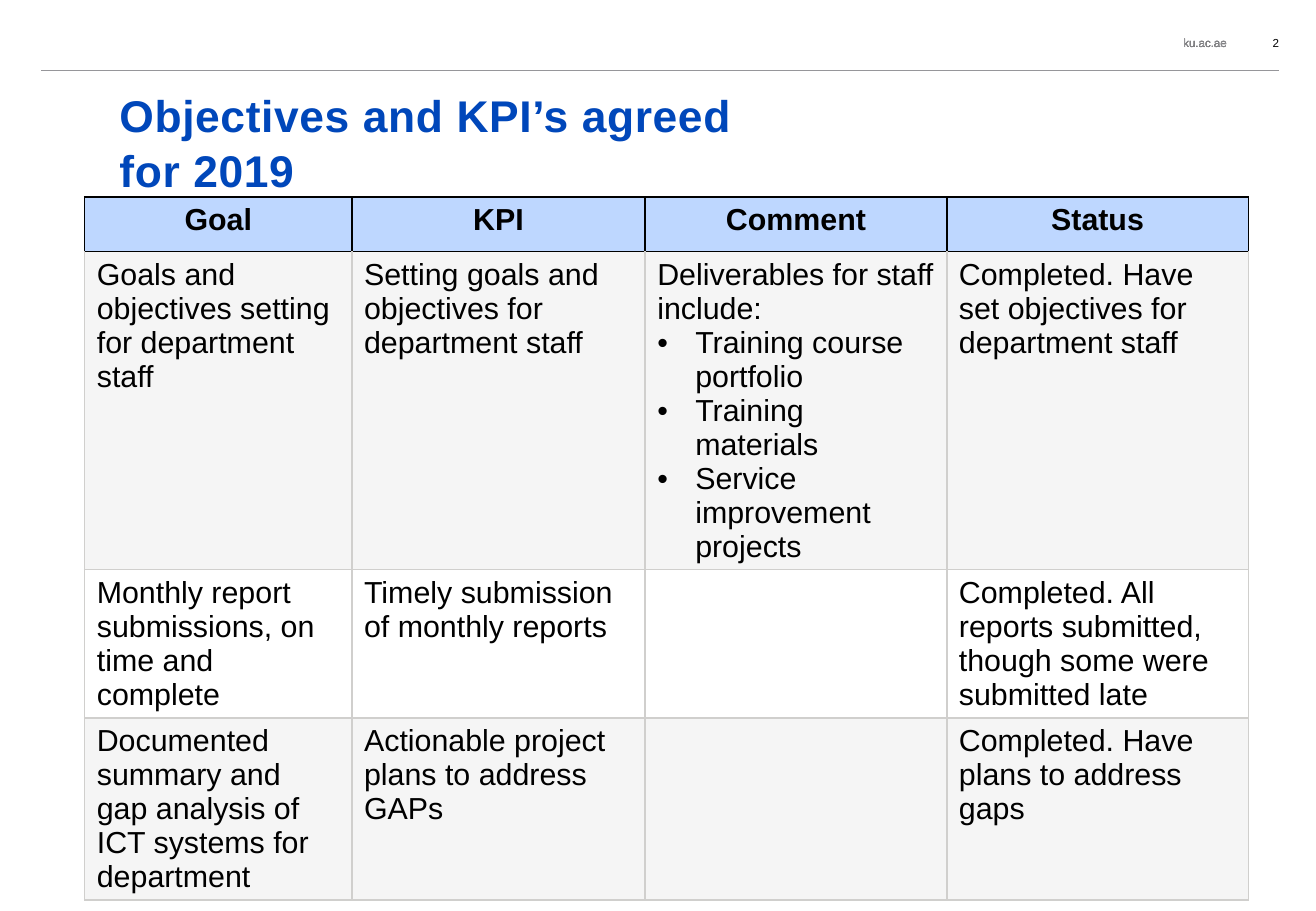
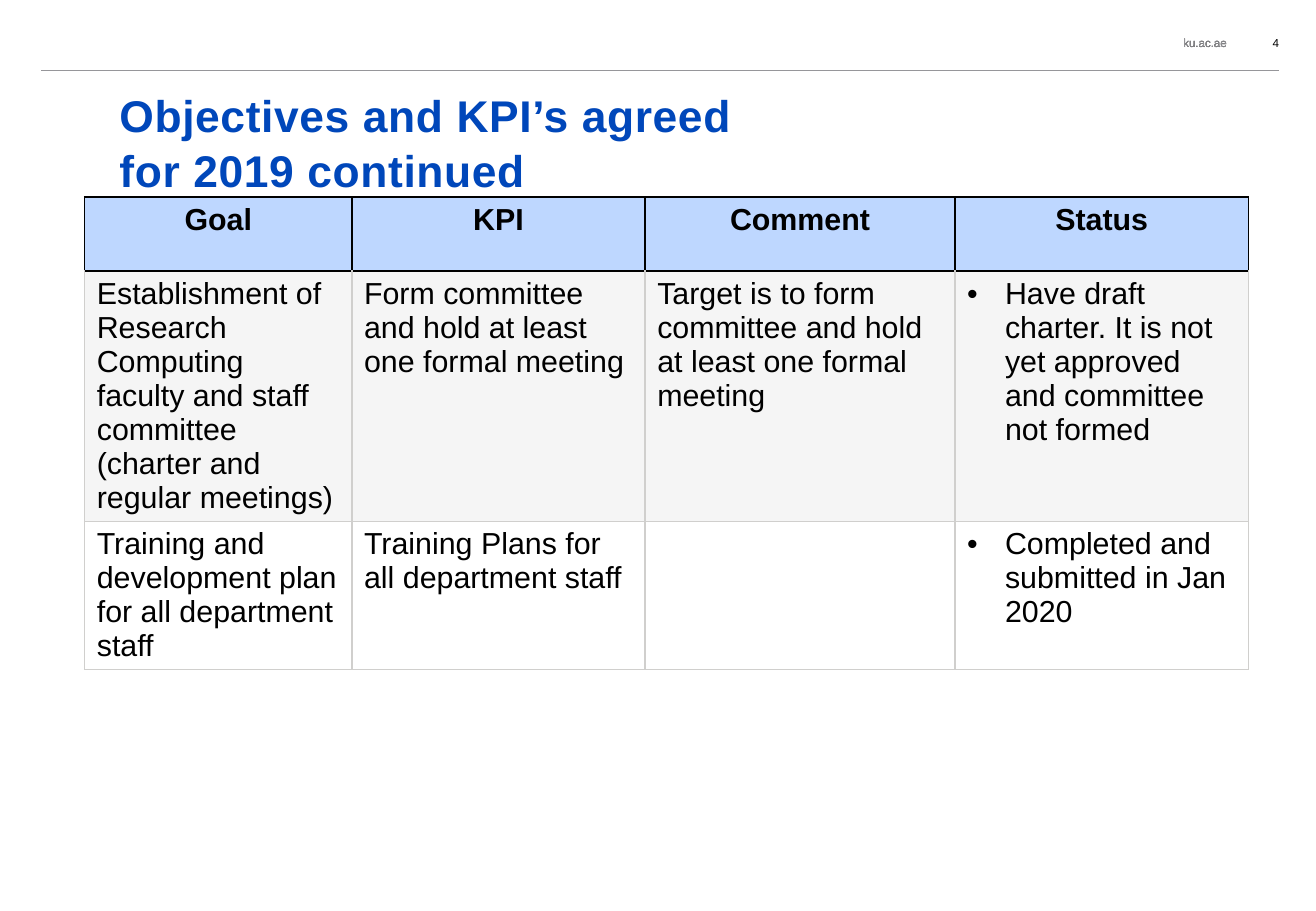
"""Build two slides of goal and KPI tables for 2019."""
from dataclasses import dataclass

from lxml.etree import SubElement
from pptx import Presentation
from pptx.dml.color import RGBColor
from pptx.enum.shapes import MSO_CONNECTOR
from pptx.enum.text import MSO_ANCHOR, MSO_AUTO_SIZE, PP_ALIGN
from pptx.oxml import parse_xml
from pptx.oxml.ns import nsdecls, qn
from pptx.util import Pt

SITE = "ku.ac.ae"
HEADINGS = ["Goal", "KPI", "Comment", "Status"]
SLIDES = [
    {
        "number": "2",
        "title": "Objectives and KPI’s agreed for 2019",
        "cols": [158.4, 173.8, 178.8, 178.8],
        "heights": [32.4, 188.5, 87.8, 108],
        "rows": [
            ["Goals and objectives setting for department staff",
             "Setting goals and objectives for department staff",
             {"lead": "Deliverables for staff include:",
              "bullets": ["Training course portfolio", "Training materials",
                          "Service improvement projects"]},
             "Completed. Have set objectives for department staff"],
            ["Monthly report submissions, on time and complete",
             "Timely submission of monthly reports",
             "",
             "Completed. All reports submitted, though some were submitted late"],
            ["Documented summary and gap analysis of ICT systems for department",
             "Actionable project plans to address GAPs",
             "",
             "Completed. Have plans to address gaps"],
        ],
    },
    {
        "number": "4",
        "title": "Objectives and KPI’s agreed for 2019 continued",
        "cols": [158.4, 173.8, 183.6, 174],
        "heights": [44, 148.2, 87.8],
        "rows": [
            ["Establishment of Research Computing faculty and staff committee "
             "(charter and regular meetings)",
             "Form committee and hold at least one formal meeting",
             "Target is to form committee and hold at least one formal meeting",
             {"bullets": ["Have draft charter. It is not yet approved and "
                          "committee not formed"]}],
            ["Training and development plan for all department staff",
             "Training Plans for all department staff",
             "",
             {"bullets": ["Completed and submitted in Jan 2020"]}],
        ],
    },
]


@dataclass(frozen=True)
class Theme:
    font: str = "Arial"
    title: str = "0047BA"
    text: str = "000000"
    muted: str = "96969A"
    header: str = "BED7FF"
    grey: str = "D0CFCD"
    title_size: float = 26.3
    table_size: float = 18
    small_size: float = 6.9
    band_opacity: int = 20


THEME = Theme()


def style(p, size, color, bold=False, align=PP_ALIGN.LEFT):
    p.alignment = align
    for r in p.runs:
        r.font.name, r.font.size, r.font.bold = THEME.font, Pt(size), bold
        r.font.color.rgb = RGBColor.from_string(color)


def set_frame(tf, anchor):
    tf.margin_left = tf.margin_right = tf.margin_top = tf.margin_bottom = 0
    tf.word_wrap, tf.auto_size, tf.vertical_anchor = True, MSO_AUTO_SIZE.NONE, anchor


def add_label(s, left, width, text, color, align):
    sp = s.shapes.add_textbox(Pt(left), Pt(15.84), Pt(width), Pt(19.44))
    set_frame(sp.text_frame, MSO_ANCHOR.MIDDLE)
    sp.text_frame.text = text
    style(sp.text_frame.paragraphs[0], THEME.small_size, color, align=align)
    return sp


def add_shared_band(s, layout):
    labels = [add_label(s, 666, 61.2, SITE, color, PP_ALIGN.RIGHT)
              for color in (THEME.text, THEME.muted)]
    rule = s.shapes.add_connector(MSO_CONNECTOR.STRAIGHT,
                                  Pt(24.5), Pt(41.8), Pt(758.2), Pt(41.8))
    rule.line.color.rgb = RGBColor.from_string(THEME.muted)
    rule.line.width = Pt(0.75)
    SubElement(rule.element.spPr, qn("a:effectLst"))
    for sp in [*labels, rule]:
        layout.shapes.element.append(sp.element)


def add_title(s, text):
    sp = s.shapes.title
    sp.left, sp.top, sp.width, sp.height = Pt(70.8), Pt(51.1), Pt(378.7), Pt(65.5)
    set_frame(sp.text_frame, MSO_ANCHOR.BOTTOM)
    sp.text_frame.text = text
    p = sp.text_frame.paragraphs[0]
    p.line_spacing = 1.04
    style(p, THEME.title_size, THEME.title, bold=True)
    p.runs[0].font._element.set("spc", "40")


def set_borders(cell, color, top):
    tcPr = cell._tc.get_or_add_tcPr()
    edges = {"lnL": color, "lnR": color, "lnT": top, "lnB": color}
    for i, (tag, rgb) in enumerate(edges.items()):
        tcPr.insert(i, parse_xml(
            f'<a:{tag} {nsdecls("a")} w="12700"><a:solidFill>'
            f'<a:srgbClr val="{rgb}"/></a:solidFill></a:{tag}>'))


def set_fill(cell, color, opacity=100):
    cell.fill.solid()
    cell.fill.fore_color.rgb = RGBColor.from_string(color)
    if opacity < 100:
        clr = cell._tc.tcPr.find(f'{qn("a:solidFill")}/{qn("a:srgbClr")}')
        SubElement(clr, qn("a:alpha"), val=str(opacity * 1000))


def add_bullet(p):
    pPr = p._p.get_or_add_pPr()
    pPr.set("marL", str(Pt(22.5)))
    pPr.set("indent", str(-Pt(22.5)))
    SubElement(pPr, qn("a:buFont"), typeface=THEME.font)
    SubElement(pPr, qn("a:buChar"), char="•")


def fill_text(cell, content, is_header):
    if isinstance(content, str):
        content = {"lead": content}
    lead = [content["lead"]] if "lead" in content else []
    lines = lead + content.get("bullets", [])
    tf = cell.text_frame
    for i, line in enumerate(lines):
        p = tf.paragraphs[0] if i == 0 else tf.add_paragraph()
        p.text = line
        if i >= len(lead):
            add_bullet(p)
        style(p, THEME.table_size, THEME.text, is_header,
              PP_ALIGN.CENTER if is_header else PP_ALIGN.LEFT)


def add_goal_table(s, data):
    rows = [HEADINGS, *data["rows"]]
    cols, heights = data["cols"], data["heights"]
    table = s.shapes.add_table(len(rows), len(cols), Pt(50.2), Pt(116.7),
                               Pt(sum(cols)), Pt(sum(heights))).table
    table.first_row = table.horz_banding = False
    for column, width in zip(table.columns, cols):
        column.width = Pt(width)
    for i, (row, height) in enumerate(zip(rows, heights)):
        table.rows[i].height = Pt(height)
        for j, content in enumerate(row):
            cell = table.cell(i, j)
            fill_text(cell, content, i == 0)
            if i == 0:
                set_fill(cell, THEME.header)
            elif i % 2:
                set_fill(cell, THEME.grey, THEME.band_opacity)
            else:
                cell.fill.background()
            set_borders(cell, THEME.grey if i else THEME.text,
                        THEME.text if i < 2 else THEME.grey)


def main():
    prs = Presentation()
    prs.slide_width, prs.slide_height = Pt(780), Pt(540)
    layout = prs.slide_layouts.get_by_name("Title Only")
    for i, data in enumerate(SLIDES):
        s = prs.slides.add_slide(layout)
        if i == 0:
            add_shared_band(s, layout)
        add_title(s, data["title"])
        add_label(s, 739.4, 33.8, data["number"], THEME.text, PP_ALIGN.CENTER)
        add_goal_table(s, data)
    prs.save("out.pptx")


if __name__ == "__main__":
    main()
